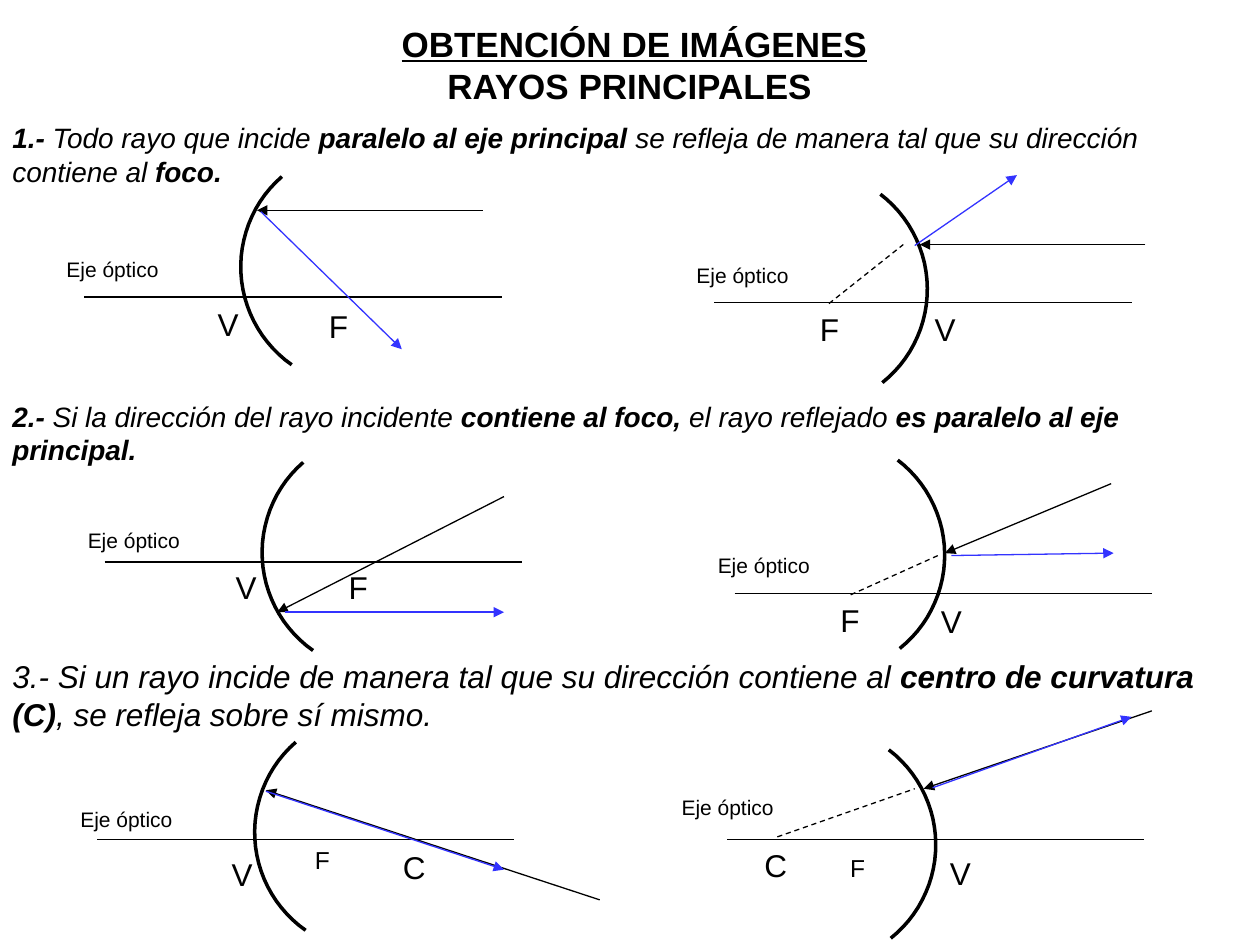
from math import cos, radians, sin

from lxml import etree
from pptx import Presentation
from pptx.dml.color import RGBColor
from pptx.enum.dml import MSO_LINE
from pptx.enum.shapes import MSO_CONNECTOR
from pptx.enum.text import MSO_AUTO_SIZE as AUTO_SIZE, PP_ALIGN as ALIGN
from pptx.oxml.ns import qn
from pptx.util import Cm, Pt

BLACK, BLUE = "000000", "3333FF"
color = RGBColor.from_string


def add_text(left, top, width, height, lines, size, wrap=False, italic=None, align=ALIGN.LEFT):
    """Each line is a list of (text, bold, underline) runs."""
    box = slide.shapes.add_textbox(Cm(left), Cm(top), Cm(width), Cm(height))
    frame = box.text_frame
    frame.word_wrap = wrap
    frame.auto_size = AUTO_SIZE.SHAPE_TO_FIT_TEXT
    for index, runs in enumerate(lines):
        paragraph = frame.add_paragraph() if index else frame.paragraphs[0]
        paragraph.alignment = align
        paragraph.font.name = "Arial"
        paragraph.font.size = Pt(size)
        paragraph.font.italic = italic
        paragraph.font.color.rgb = color(BLACK)
        for text, bold, underline in runs:
            run = paragraph.add_run()
            run.text = text
            run.font.bold = bold
            run.font.underline = underline


def add_line(start_x, start_y, end_x, end_y, line_color=BLACK, arrow=False, dashed=False):
    connector = slide.shapes.add_connector(
        MSO_CONNECTOR.STRAIGHT, Cm(start_x), Cm(start_y), Cm(end_x), Cm(end_y))
    connector.line.color.rgb = color(line_color)
    connector.line.width = Pt(0.75)
    if dashed:
        connector.line.dash_style = MSO_LINE.DASH
    properties = connector.line._get_or_add_ln()
    if arrow:
        etree.SubElement(properties, qn("a:tailEnd"), type="triangle")
    etree.SubElement(connector._element.spPr, qn("a:effectLst"))


presentation = Presentation()
presentation.slide_width, presentation.slide_height = Cm(25.4), Cm(19.05)
slide = presentation.slides.add_slide(presentation.slide_layouts[6])

# Title
add_text(7.8, 0.33, 9.98, 1.96,
         [[("OBTENCIÓN DE IMÁGENES", True, True)], [("RAYOS PRINCIPALES ", True, False)]],
         20, align=ALIGN.CENTER)

# The three rules: top, width, height, size, (text, bold) runs
rules = [
    (2.31, 25.4, 1.63, 16, [
        ("1.- ", True), ("Todo rayo que incide", False),
        (" paralelo al eje principal ", True),
        ("se refleja de manera tal que su dirección contiene al", False), (" foco.", True)]),
    (7.92, 25.1, 1.63, 16, [
        ("2.- ", True), ("Si la dirección del rayo incidente", False),
        (" contiene al foco, ", True), ("el rayo reflejado ", False),
        ("es paralelo al eje principal.", True)]),
    (13.13, 25.4, 1.8, 18, [
        ("3.- Si un rayo incide de manera tal que su dirección contiene al ", False),
        ("centro de curvatura (C)", True), (", se refleja sobre sí mismo.", False)]),
]
for top, width, height, size, runs in rules:
    add_text(0, top, width, height, [[(text, bold, None) for text, bold in runs]],
             size, wrap=True, italic=True)

# Ray diagrams: concave mirrors on the left, convex ones on the right
CONCAVE, CONVEX = 215, 37.4
AXIS_LENGTH = 8.41
RADIUS = 2.41
ARC_ANGLES = range(-90, 15, 4)
LETTER_BOXES = {18: (0.94, 1.02), 14: (0.81, 0.86)}

diagrams = [
    dict(mirror=(4.55, 3.94), turn=CONCAVE, axis=(1.7, 5.99), label=(1.09, 5.05),
         incident=(9.73, 4.24, 5.18, 4.24), reflected=(5.26, 4.27, 8.1, 7.04),
         letters=[("V", 4.14, 6.02, 18), ("F", 6.38, 6.07, 18)]),
    dict(mirror=(16.59, 4.34), turn=CONVEX, axis=(14.4, 6.1), label=(13.79, 5.16),
         incident=(23.09, 4.93, 18.54, 4.93), reflected=(18.44, 4.95, 20.5, 3.53),
         extension=(16.71, 6.12, 18.21, 4.93),
         letters=[("V", 18.59, 6.12, 18), ("F", 16.28, 6.12, 18)]),
    dict(mirror=(4.98, 9.7), turn=CONCAVE, axis=(2.11, 11.33), label=(1.52, 10.52),
         incident=(10.16, 10.01, 5.59, 12.34), reflected=(5.74, 12.34, 10.16, 12.34),
         letters=[("V", 4.5, 11.33, 18), ("F", 6.78, 11.33, 18)]),
    dict(mirror=(16.94, 9.7), turn=CONVEX, axis=(14.81, 11.96), label=(14.22, 11.02),
         incident=(22.4, 9.75, 19.05, 11.15), reflected=(19.18, 11.2, 22.45, 11.15),
         extension=(17.15, 11.99, 18.95, 11.18),
         letters=[("V", 18.72, 12.01, 18), ("F", 16.69, 11.99, 18)]),
    dict(mirror=(4.83, 15.34), turn=CONCAVE, axis=(1.96, 16.92), label=(1.37, 16.13),
         incident=(12.09, 18.14, 5.36, 15.93), reflected=(5.36, 15.95, 10.16, 17.53),
         letters=[("V", 4.42, 17.12, 18), ("F", 6.1, 16.92, 14), ("C", 7.87, 16.97, 18)]),
    dict(mirror=(16.76, 15.54), turn=CONVEX, axis=(14.66, 16.92), label=(13.49, 15.9),
         incident=(23.22, 14.33, 18.62, 15.9), reflected=(18.8, 15.88, 22.81, 14.45),
         extension=(15.67, 16.87, 18.44, 15.9),
         letters=[("V", 18.9, 17.09, 18), ("F", 16.89, 17.07, 14), ("C", 15.16, 16.94, 18)]),
]

for diagram in diagrams:
    # Mirror: a circular arc, turned as a whole
    left, top = diagram["mirror"]
    points = [(Cm(left + RADIUS * cos(radians(angle))),
               Cm(top + RADIUS * (1 + sin(radians(angle))))) for angle in ARC_ANGLES]
    builder = slide.shapes.build_freeform(*points[0])
    builder.add_line_segments(points[1:], close=False)
    mirror = builder.convert_to_shape()
    mirror.rotation = diagram["turn"]
    mirror.shadow.inherit = False
    mirror.fill.background()
    mirror.line.color.rgb = color(BLACK)
    mirror.line.width = Pt(2)

    # Optical axis and rays
    axis_x, axis_y = diagram["axis"]
    add_line(axis_x, axis_y, axis_x + AXIS_LENGTH, axis_y)
    add_line(*diagram["incident"], arrow=True)
    add_line(*diagram["reflected"], line_color=BLUE, arrow=True)
    if "extension" in diagram:
        add_line(*diagram["extension"], dashed=True)

    # Labels
    add_text(*diagram["label"], 2.36, 0.76, [[("Eje óptico", None, None)]], 12)
    for letter, x, y, size in diagram["letters"]:
        add_text(x, y, *LETTER_BOXES[size], [[(letter, None, None)]], size)

presentation.save("out.pptx")
